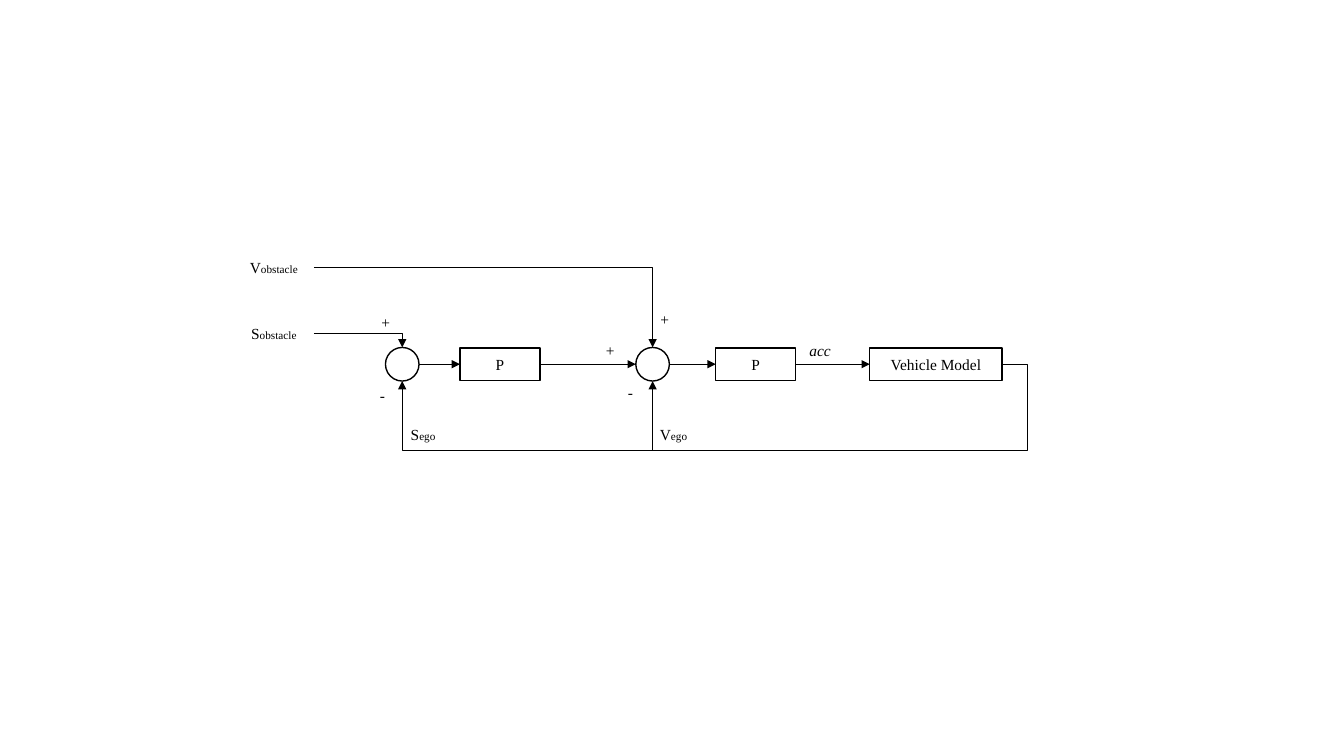
from pptx import Presentation
from pptx.dml.color import RGBColor
from pptx.enum.shapes import MSO_CONNECTOR, MSO_SHAPE
from pptx.enum.text import MSO_ANCHOR, PP_ALIGN
from pptx.oxml.ns import qn
from pptx.util import Inches, Pt
from lxml import etree

RECTANGLE, CIRCLE = MSO_SHAPE.RECTANGLE, MSO_SHAPE.OVAL
STRAIGHT, ELBOW = MSO_CONNECTOR.STRAIGHT, MSO_CONNECTOR.ELBOW
CENTER, MIDDLE = PP_ALIGN.CENTER, MSO_ANCHOR.MIDDLE
LEFT_SIDE, RIGHT_SIDE = 1, 3
BLACK = RGBColor(0x00, 0x00, 0x00)

SLIDE_WIDTH, SLIDE_HEIGHT = Inches(13.33), Inches(7.5)
GRID_COLUMNS, GRID_ROWS = 100, 56.25

# Grid positions
AXIS_ROW = 27.1
BLOCK_WIDTH, BLOCK_HEIGHT = 5.95, 2.4
SUM_SIZE = 2.5
DISTANCE_SUM, SPEED_SUM = 29.93, 48.56
INPUT_COLUMN, INPUT_END = 17.4, 23.35
SPEED_ROW, DISTANCE_ROW = 19.9, 24.83
FEEDBACK_COLUMN, FEEDBACK_ROW = 76.42, 33.52
EGO_OFFSET, EGO_ROW = 1.55, 32.33
SUM_TOP, SUM_BOTTOM = AXIS_ROW - SUM_SIZE / 2, AXIS_ROW + SUM_SIZE / 2


class Diagram:
    font = {"name": "Times New Roman", "size": Pt(11)}
    subscript_size = Pt(8)
    frame_format = {"word_wrap": True, "vertical_anchor": MIDDLE}
    outline, wire = Pt(1), Pt(0.5)

    def __init__(self, slide):
        self.shapes = slide.shapes

    @staticmethod
    def apply(target, values):
        for attribute, value in values.items():
            setattr(target, attribute, value)

    @staticmethod
    def grid(column, row):
        return (round(SLIDE_WIDTH * column / GRID_COLUMNS),
                round(SLIDE_HEIGHT * row / GRID_ROWS))

    def fill_text(self, frame, text, subscript="", italic=None):
        self.apply(frame, self.frame_format)
        paragraph = frame.paragraphs[0]
        paragraph.alignment = CENTER
        for part, size in ((text, self.font["size"]), (subscript, self.subscript_size)):
            if part:
                run = paragraph.add_run()
                run.text = part
                self.apply(run.font, {**self.font, "size": size, "italic": italic})
                run.font.color.rgb = BLACK

    def label(self, center, row, text, subscript="", italic=None):
        corner = self.grid(center - BLOCK_WIDTH / 2, row - BLOCK_HEIGHT / 2)
        box = self.shapes.add_textbox(*corner, *self.grid(BLOCK_WIDTH, BLOCK_HEIGHT))
        self.fill_text(box.text_frame, text, subscript, italic)

    def node(self, kind, left, width, height, text):
        """Outlined shape centred on the signal axis."""
        shape = self.shapes.add_shape(kind, *self.grid(left, AXIS_ROW - height / 2),
                                      *self.grid(width, height))
        shape.shadow.inherit = False
        shape.fill.background()
        shape.line.color.rgb = BLACK
        shape.line.width = self.outline
        if text:
            self.fill_text(shape.text_frame, text)
        return shape

    def arrow(self, start, end, kind=STRAIGHT):
        connector = self.shapes.add_connector(kind, *self.grid(*start), *self.grid(*end))
        connector.line.color.rgb = BLACK
        connector.line.width = self.wire
        properties = connector._element.spPr
        etree.SubElement(properties.find(qn("a:ln")), qn("a:tailEnd"), type="triangle")
        etree.SubElement(properties, qn("a:effectLst"))
        return connector

    def bent_arrow(self, start, end, preset, *adjustments):
        """Elbow arrow; adjustments are bend positions as shares of its extent."""
        connector = self.arrow(start, end, ELBOW)
        geometry = connector._element.spPr.find(qn("a:prstGeom"))
        geometry.set("prst", preset)
        guides = geometry.find(qn("a:avLst"))
        for number, share in enumerate(adjustments, 1):
            etree.SubElement(guides, qn("a:gd"), name=f"adj{number}",
                             fmla=f"val {round(share * 100000)}")


def draw_signal_path(diagram):
    """Draws the chain of nodes and returns the right end of the last one."""
    chain = [
        (CIRCLE, DISTANCE_SUM - SUM_SIZE / 2, SUM_SIZE, SUM_SIZE, ""),
        (RECTANGLE, 34.22, BLOCK_WIDTH, BLOCK_HEIGHT, "P"),
        (CIRCLE, SPEED_SUM - SUM_SIZE / 2, SUM_SIZE, SUM_SIZE, ""),
        (RECTANGLE, 53.25, BLOCK_WIDTH, BLOCK_HEIGHT, "P"),
        (RECTANGLE, 64.72, 9.84, BLOCK_HEIGHT, "Vehicle Model"),
    ]
    previous, previous_kind, previous_end = None, None, None
    for kind, left, width, height, text in chain:
        node = diagram.node(kind, left, width, height, text)
        if previous is not None:
            flow = diagram.arrow((previous_end, AXIS_ROW), (left, AXIS_ROW))
            if previous_kind == RECTANGLE:
                flow.begin_connect(previous, RIGHT_SIDE)
            if kind == RECTANGLE:
                flow.end_connect(node, LEFT_SIDE)
        previous, previous_kind, previous_end = node, kind, left + width
    return previous_end


def draw_inputs(diagram):
    inputs = [("S", DISTANCE_ROW, DISTANCE_SUM), ("V", SPEED_ROW, SPEED_SUM)]
    for quantity, row, sum_column in inputs:
        diagram.label(INPUT_COLUMN + BLOCK_WIDTH / 2, row, quantity, "obstacle")
        diagram.bent_arrow((INPUT_END, row), (sum_column, SUM_TOP), "bentConnector2")
        diagram.label(sum_column + EGO_OFFSET, EGO_ROW, quantity, "ego")


def draw_feedback(diagram, output):
    diagram.bent_arrow((output, AXIS_ROW), (DISTANCE_SUM, SUM_BOTTOM), "bentConnector4",
                       (output - FEEDBACK_COLUMN) / (output - DISTANCE_SUM),
                       (FEEDBACK_ROW - AXIS_ROW) / (SUM_BOTTOM - AXIS_ROW))
    diagram.arrow((SPEED_SUM, FEEDBACK_ROW), (SPEED_SUM, SUM_BOTTOM))


def main():
    presentation = Presentation()
    presentation.slide_width, presentation.slide_height = SLIDE_WIDTH, SLIDE_HEIGHT
    blank_layout = presentation.slide_layouts[6]
    diagram = Diagram(presentation.slides.add_slide(blank_layout))

    output = draw_signal_path(diagram)
    draw_inputs(diagram)
    draw_feedback(diagram, output)
    signs = [("+", 28.69, 24), ("-", 28.46, 29.4), ("-", 46.91, 29.18),
             ("+", 45.41, 26.1), ("+", 49.46, 23.78)]
    for sign, center, row in signs:
        diagram.label(center, row, sign)
    diagram.label(61.01, 26.03, "acc", italic=True)

    presentation.save("out.pptx")


if __name__ == "__main__":
    main()
